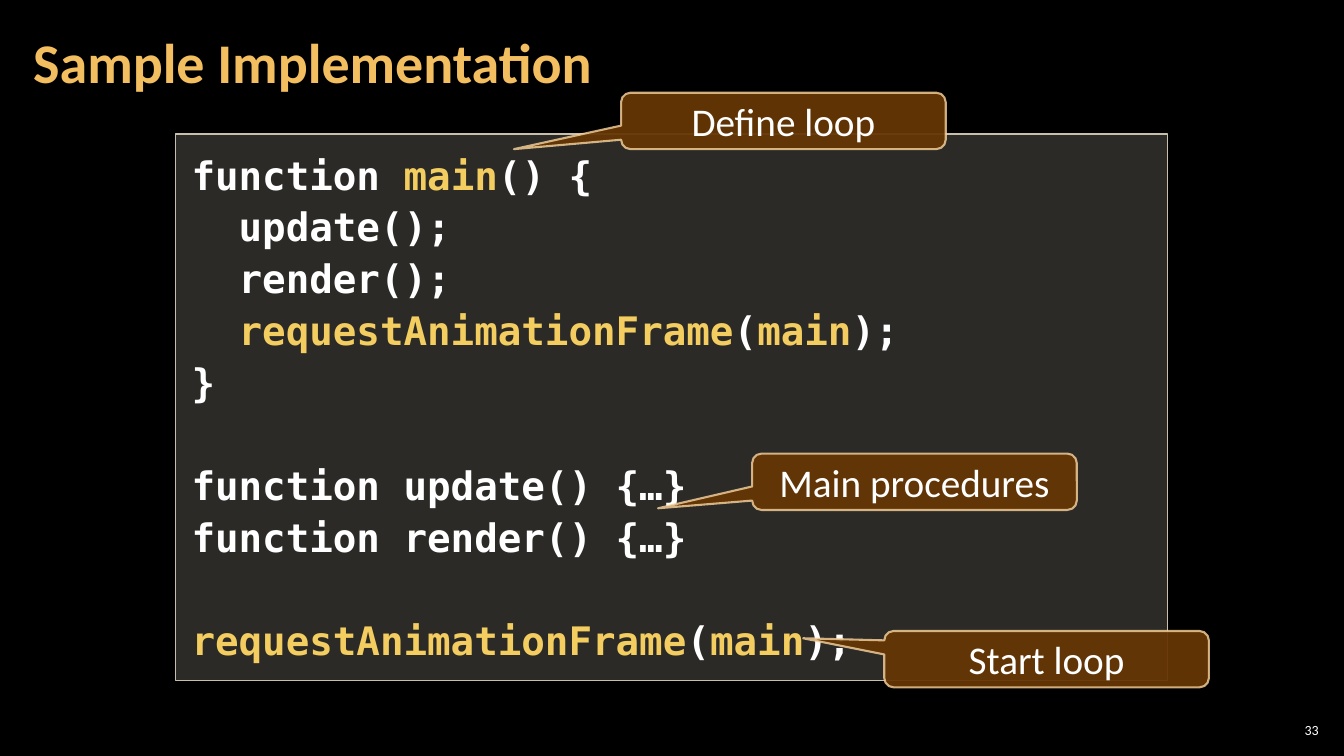
from dataclasses import dataclass

from lxml.etree import SubElement
from pptx import Presentation
from pptx.dml.color import RGBColor as RGB
from pptx.enum.shapes import MSO_SHAPE as Shape
from pptx.enum.text import MSO_ANCHOR as Anchor, PP_ALIGN as Align
from pptx.oxml.ns import qn
from pptx.util import Inches, Pt


@dataclass(frozen=True)
class Theme:
    back: str = "000000"
    text: str = "FFFFFF"
    title: str = "F3BE60"
    mark: str = "F3CD60"
    panel: str = "D9D5C7"
    edge: str = "C7BFAC"
    note: str = "663606"
    rim: str = "F8D49E"
    sans: str = "Calibri"
    mono: str = "DejaVu Sans Mono"
    head_size: int = 40
    body_size: int = 28
    page_size: int = 10
    code_gap: int = 37


THEME = Theme()

# Each block is set apart by one line; words between bars are highlighted.
CODE = [
    ["function |main|() {",
     "  update();",
     "  render();",
     "  |requestAnimationFrame|(|main|);",
     "}"],
    ["function update() {…}",
     "function render() {…}"],
    ["|requestAnimationFrame|(|main|);"],
]

# Text, left, top, and the tip's offset from the centre as shares of the size
NOTES = [
    ("Define loop", 6.16, 0.92, (-0.83, 0.5)),
    ("Main procedures", 7.46, 4.5, (-0.79, 0.47)),
    ("Start loop", 8.77, 6.26, (-0.75, -0.37)),
]
NOTE_SIZE = (3.22, 0.56)


def paint(fill, color, alpha=100):
    """Fill with a solid colour; alpha is the opacity in percent."""
    fill.solid()
    fill.fore_color.rgb = RGB.from_string(color)
    if alpha < 100:
        node = fill._xPr.find(qn("a:solidFill"))[0]
        SubElement(node, qn("a:alpha"), val=str(alpha * 1000))


def write(para, text, size=THEME.body_size, font=THEME.sans,
          color=THEME.text, bold=False, align=Align.LEFT, spacing=1.0, before=0):
    """Write one paragraph, highlighting the words between bars."""
    para.alignment = align
    para.line_spacing = spacing
    if before:
        para.space_before = Pt(before)
    for i, part in enumerate(text.split("|")):
        if part:
            run = para.add_run()
            run.text = part
            run.font.size, run.font.name, run.font.bold = Pt(size), font, bold
            run.font.color.rgb = RGB.from_string(THEME.mark if i % 2 else color)


def set_frame(shape, pad, anchor=Anchor.MIDDLE):
    """Set wrap, anchor and insets, and return the text frame."""
    frame = shape.text_frame
    frame.word_wrap = True
    frame.vertical_anchor = anchor
    frame.margin_left = frame.margin_right = Inches(pad[0])
    frame.margin_top = frame.margin_bottom = Inches(pad[1])
    return frame


def add_label(slide, box, text, pad, **style):
    label = slide.shapes.add_textbox(*map(Inches, box))
    write(set_frame(label, pad).paragraphs[0], text, **style)


def add_panel(slide, kind, box, fill, line, width):
    """Add a shape; fill and line are pairs of colour and opacity."""
    shape = slide.shapes.add_shape(kind, *map(Inches, box))
    shape.shadow.inherit = False
    paint(shape.fill, *fill)
    paint(shape.line.fill, *line)
    shape.line.width = Pt(width)
    return shape


def add_code(slide, box, blocks):
    panel = add_panel(slide, Shape.RECTANGLE, box,
                      (THEME.panel, 20), (THEME.edge, 100), 1)
    frame = set_frame(panel, (0.16, 0.12), Anchor.TOP)
    para = frame.paragraphs[0]
    for b, block in enumerate(blocks):
        for n, line in enumerate(block):
            if b or n:
                para = frame.add_paragraph()
            write(para, line, font=THEME.mono, bold=True, spacing=1.1,
                  before=THEME.code_gap if b and not n else 0)


def add_note(slide, box, text, tip):
    note = add_panel(slide, Shape.ROUNDED_RECTANGULAR_CALLOUT, box,
                     (THEME.note, 95), (THEME.rim, 80), 1.5)
    note.adjustments[0], note.adjustments[1] = tip
    frame = set_frame(note, (0.1, 0.05))
    write(frame.paragraphs[0], text, align=Align.CENTER)


def main():
    deck = Presentation()
    deck.slide_width, deck.slide_height = Inches(13.33), Inches(7.5)
    slide = deck.slides.add_slide(deck.slide_layouts[6])
    paint(slide.background.fill, THEME.back)

    add_label(slide, (12.65, 7.14, 0.47, 0.21), "33", (0.04, 0.04),
              size=THEME.page_size, align=Align.RIGHT)
    add_label(slide, (0.21, 0.04, 10.47, 1.21), "Sample Implementation",
              (0.12, 0.04), size=THEME.head_size, color=THEME.title,
              bold=True, spacing=0.9)
    add_code(slide, (1.74, 1.33, 9.84, 5.42), CODE)
    for text, left, top, tip in NOTES:
        add_note(slide, (left, top, *NOTE_SIZE), text, tip)

    deck.save("out.pptx")


if __name__ == "__main__":
    main()
